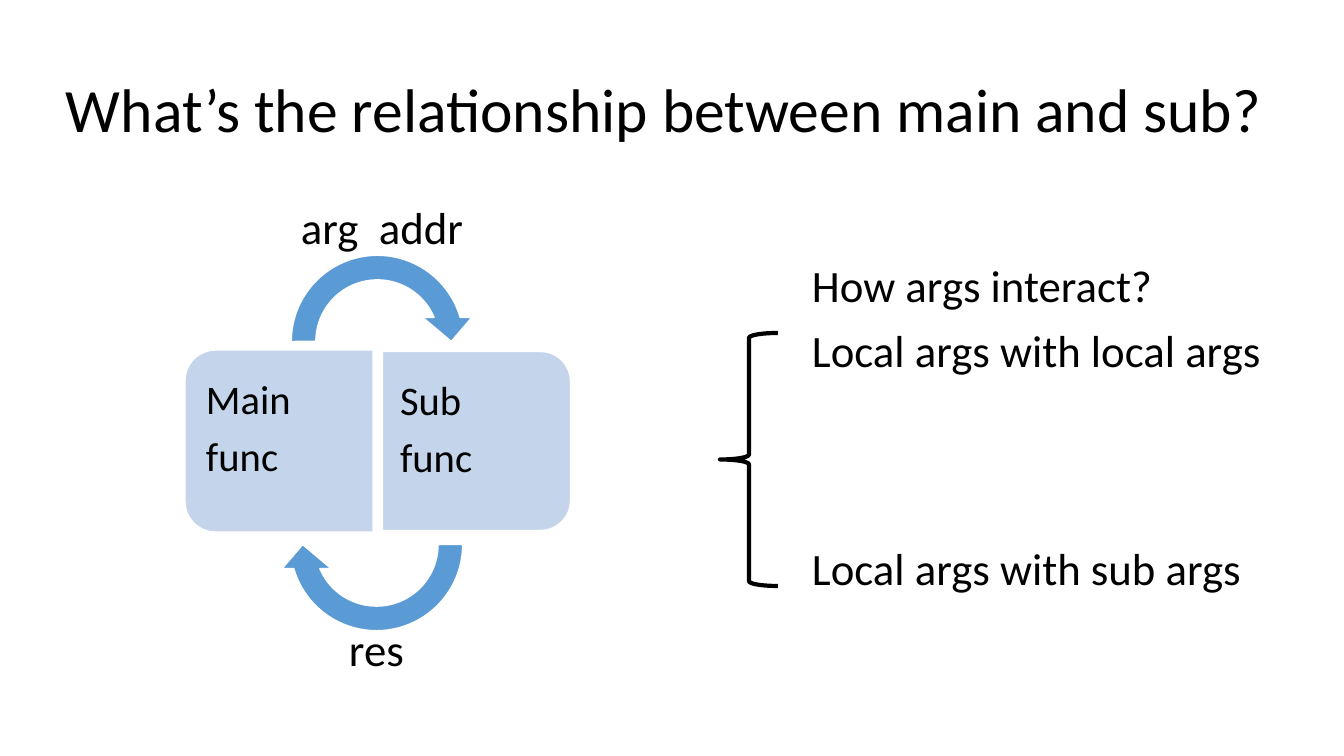
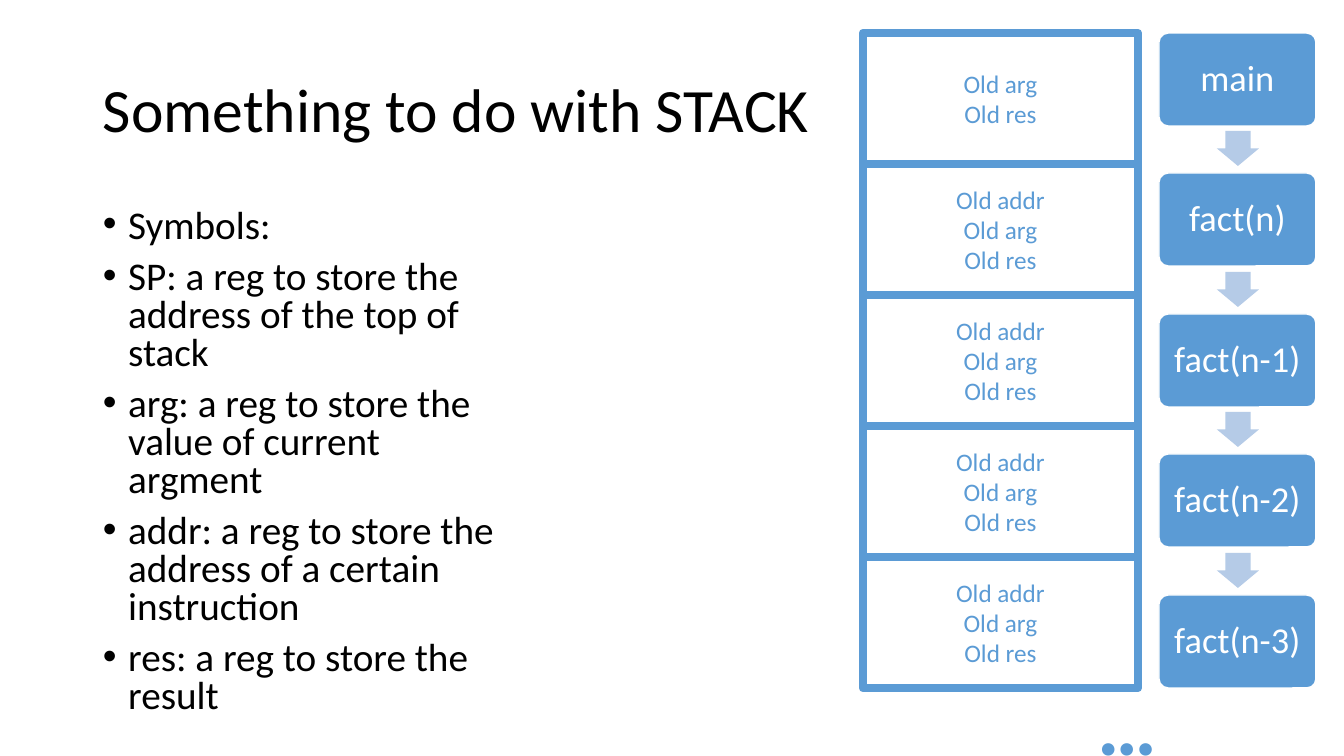
"""Build two slides on how functions call each other and use the stack."""
from dataclasses import dataclass

import pptx
import pptx.dml.color
import pptx.enum.shapes
import pptx.enum.text
import pptx.oxml.ns
import pptx.util
from lxml import etree

SHAPE = pptx.enum.shapes.MSO_SHAPE
ALIGN = pptx.enum.text.PP_ALIGN
ANCHOR = pptx.enum.text.MSO_ANCHOR


@dataclass(frozen=True)
class Theme:
    """Colours, font and type sizes shared by the slides."""
    font: str = "Calibri"
    black: str = "000000"
    white: str = "FFFFFF"
    blue: str = "5B9BD5"
    pale: str = "C4D5EB"
    arrow: str = "B5CBE7"
    title: int = 44
    label: int = 32
    panel: int = 29
    body: int = 28
    call: int = 26
    frame: int = 18
    dots: int = 60


THEME = Theme()


def px(pixels):
    """Turn pixels into EMU."""
    return pptx.util.Emu(round(pixels * 914400 / 100.8))


def rgb(value):
    """Turn a hex string into a colour."""
    return pptx.dml.color.RGBColor.from_string(value)


class Deck:
    """Hold the presentation, its style and the current slide."""

    def __init__(self, theme):
        """Start an empty widescreen presentation."""
        self.theme = theme
        self.presentation = pptx.Presentation()
        self.presentation.slide_width = px(1344)
        self.presentation.slide_height = px(756)
        self.slide = None

    def add_slide(self, title, box):
        """Add a slide and place its title."""
        layout = self.presentation.slide_layouts[5]
        self.slide = self.presentation.slides.add_slide(layout)
        shape = self.slide.shapes.title
        for name, value in zip(("left", "top", "width", "height"), box):
            setattr(shape, name, px(value))
        self.set_text(shape, [title], self.theme.title, anchor=ANCHOR.MIDDLE,
                      paragraph_format={"line_spacing": 0.9})

    def set_text(self, shape, lines, size, color=None, anchor=ANCHOR.TOP, align=ALIGN.LEFT,
                 insets=(10, 5, 10, 5), wrap=True, bold=False, paragraph_format=None):
        """Fill a shape with one paragraph per line and return the paragraphs."""
        frame = shape.text_frame
        sides = ("margin_left", "margin_top", "margin_right", "margin_bottom")
        frame_format = {"word_wrap": wrap, "vertical_anchor": anchor,
                        **dict(zip(sides, map(px, insets)))}
        for name, value in frame_format.items():
            setattr(frame, name, value)
        frame.text = "\n".join(lines)
        for paragraph in frame.paragraphs:
            for name, value in {"alignment": align, **(paragraph_format or {})}.items():
                setattr(paragraph, name, value)
            font = paragraph.runs[0].font
            font_format = {"name": self.theme.font, "size": pptx.util.Pt(size), "bold": bold}
            for name, value in font_format.items():
                setattr(font, name, value)
            font.color.rgb = rgb(color or self.theme.black)
        return frame.paragraphs

    def text(self, box, lines, size, **options):
        """Add a text box and return its paragraphs."""
        shape = self.slide.shapes.add_textbox(*map(px, box))
        return self.set_text(shape, lines, size, **options)

    def bullets(self, box, lines, size):
        """Add a bulleted list."""
        spacing = {"line_spacing": 0.8, "space_before": pptx.util.Pt(10)}
        for paragraph in self.text(box, lines, size, paragraph_format=spacing):
            properties = paragraph._p.get_or_add_pPr()
            properties.set("marL", "228600")
            properties.set("indent", "-228600")
            for tag, name, value in (("a:buFont", "typeface", "Arial"), ("a:buChar", "char", "•")):
                etree.SubElement(properties, pptx.oxml.ns.qn(tag)).set(name, value)

    def shape(self, kind, box, fill=None, line=None, width=1, rotation=0, adjustments=()):
        """Add a preset shape."""
        shape = self.slide.shapes.add_shape(kind, *map(px, box))
        shape.shadow.inherit = False
        shape.rotation = rotation
        for index, value in enumerate(adjustments):
            shape.adjustments[index] = value
        for target, color in ((shape.fill, fill), (shape.line.fill, line)):
            if color:
                target.solid()
                target.fore_color.rgb = rgb(color)
            else:
                target.background()
        if line:
            shape.line.width = pptx.util.Pt(width)
        return shape


def build_relationship(deck):
    """Show main and sub trading arguments and results."""
    theme = deck.theme
    deck.add_slide("What’s the relationship between main and sub?", (56, 40, 1245, 146))
    panel_spacing = {"line_spacing": 0.9, "space_after": pptx.util.Pt(10)}
    panels = (
        ("Main", (188, 347, 182, 188), 270, (194, 359, 179, 165), (12, 20, 18, 20)),
        ("Sub", (387, 347, 179, 188), 90, (382, 360, 179, 161), (18, 20, 12, 20)),
    )
    for name, box, rotation, text_box, insets in panels:
        deck.shape(SHAPE.ROUND_2_SAME_RECTANGLE, box, theme.pale, theme.white,
                   rotation=rotation, adjustments=(0.167, 0))
        deck.text(text_box, [name, "func"], theme.panel, insets=insets,
                  paragraph_format=panel_spacing)
    for left, top, rotation in ((279, 243, 0), (278, 446, 180)):
        deck.shape(SHAPE.CIRCULAR_ARROW, (left, top, 197, 197), theme.blue, theme.white,
                   rotation=rotation, adjustments=(0.125, 11.423, 204.577, 108, 0.125))
    deck.text((291, 195, 209, 65), ["arg  addr"], theme.label)
    deck.text((339, 617, 92, 65), ["res"], theme.label)
    deck.shape(SHAPE.LEFT_BRACE, (720, 333, 58, 253), line=theme.black, width=3)
    cases = deck.text((802, 318, 536, 281),
                      ["Local args with local args", "Local args with sub args"], theme.label)
    cases[1].space_before = pptx.util.Pt(117)
    deck.text((802, 253, 379, 65), ["How args interact?"], theme.label)


def build_stack(deck):
    """Show the stack frames beside the chain of calls."""
    theme = deck.theme
    deck.add_slide("Something to do with STACK", (93, 40, 1159, 146))
    deck.bullets((93, 204, 420, 529), [
        "Symbols:",
        "SP: a reg to store the address of the top of stack",
        "arg: a reg to store the value of current argment",
        "addr: a reg to store the address of a certain instruction",
        "res: a reg to store the result",
    ], theme.body)
    calls = ("main", "fact(n)", "fact(n-1)", "fact(n-2)", "fact(n-3)")
    saved = ["Old addr", "Old arg", "Old res"]
    for index, call in enumerate(calls):
        frame = deck.shape(SHAPE.RECTANGLE, (863, 33 + 131 * index, 275, 131),
                           line=theme.blue, width=6)
        deck.set_text(frame, saved if index else saved[1:], theme.frame, theme.blue,
                      ANCHOR.MIDDLE, ALIGN.CENTER)
        top = 33 + 562 * index // 4
        if index:
            deck.shape(SHAPE.DOWN_ARROW, (1217, top - 42, 42, 35), theme.arrow,
                       adjustments=(0.6, 0.5))
        block = deck.shape(SHAPE.ROUNDED_RECTANGLE, (1159, top, 157, 93), theme.blue,
                           theme.white, adjustments=(0.1,))
        deck.set_text(block, [call], theme.call, theme.white, ANCHOR.MIDDLE, ALIGN.CENTER,
                      insets=(11, 11, 11, 11), wrap=False,
                      paragraph_format={"line_spacing": 0.9})
    deck.text((1087, 667, 103, 112), ["…"], theme.dots, color=theme.blue, bold=True)


def main():
    """Build and save the presentation."""
    deck = Deck(THEME)
    build_relationship(deck)
    build_stack(deck)
    deck.presentation.save("out.pptx")


main()
